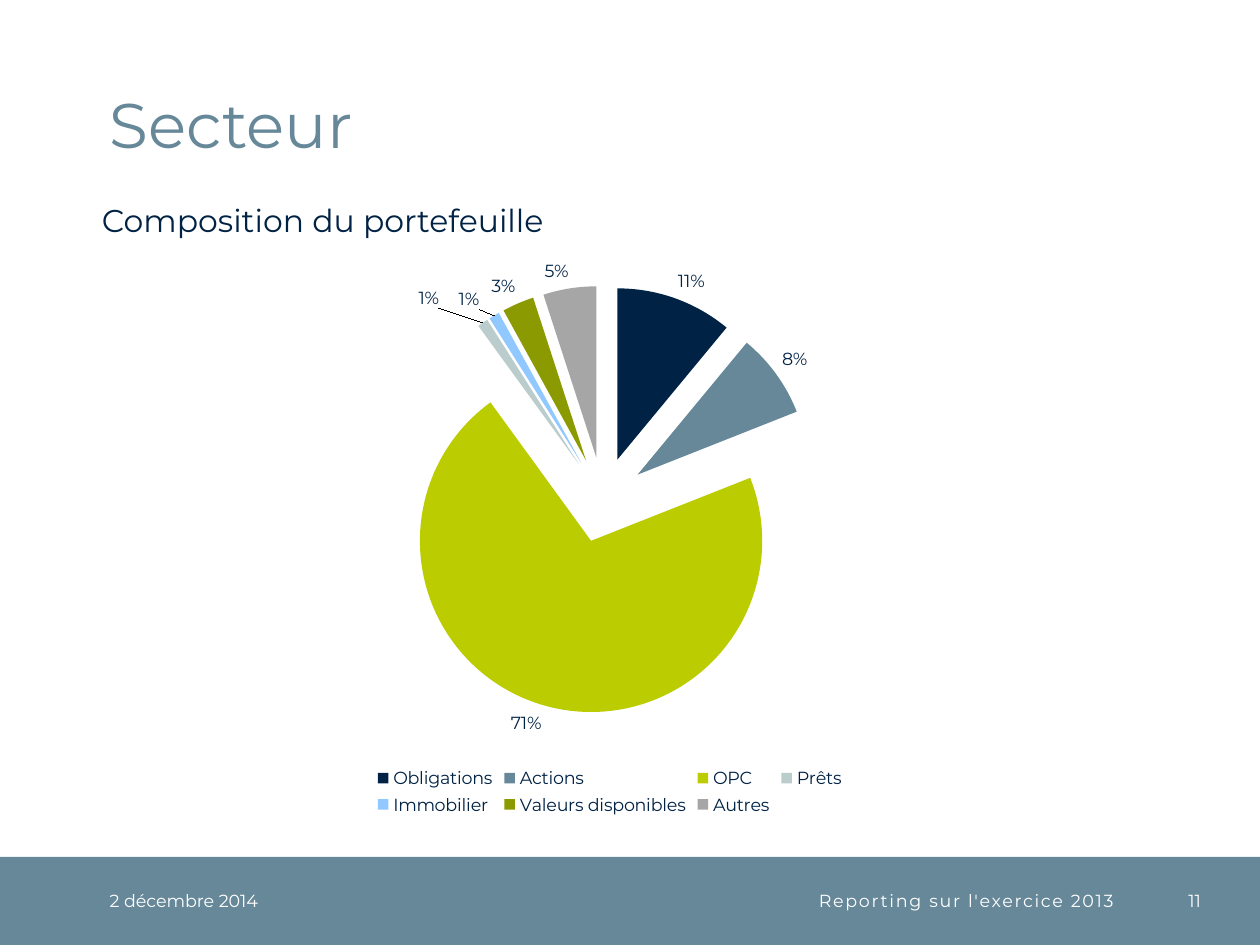
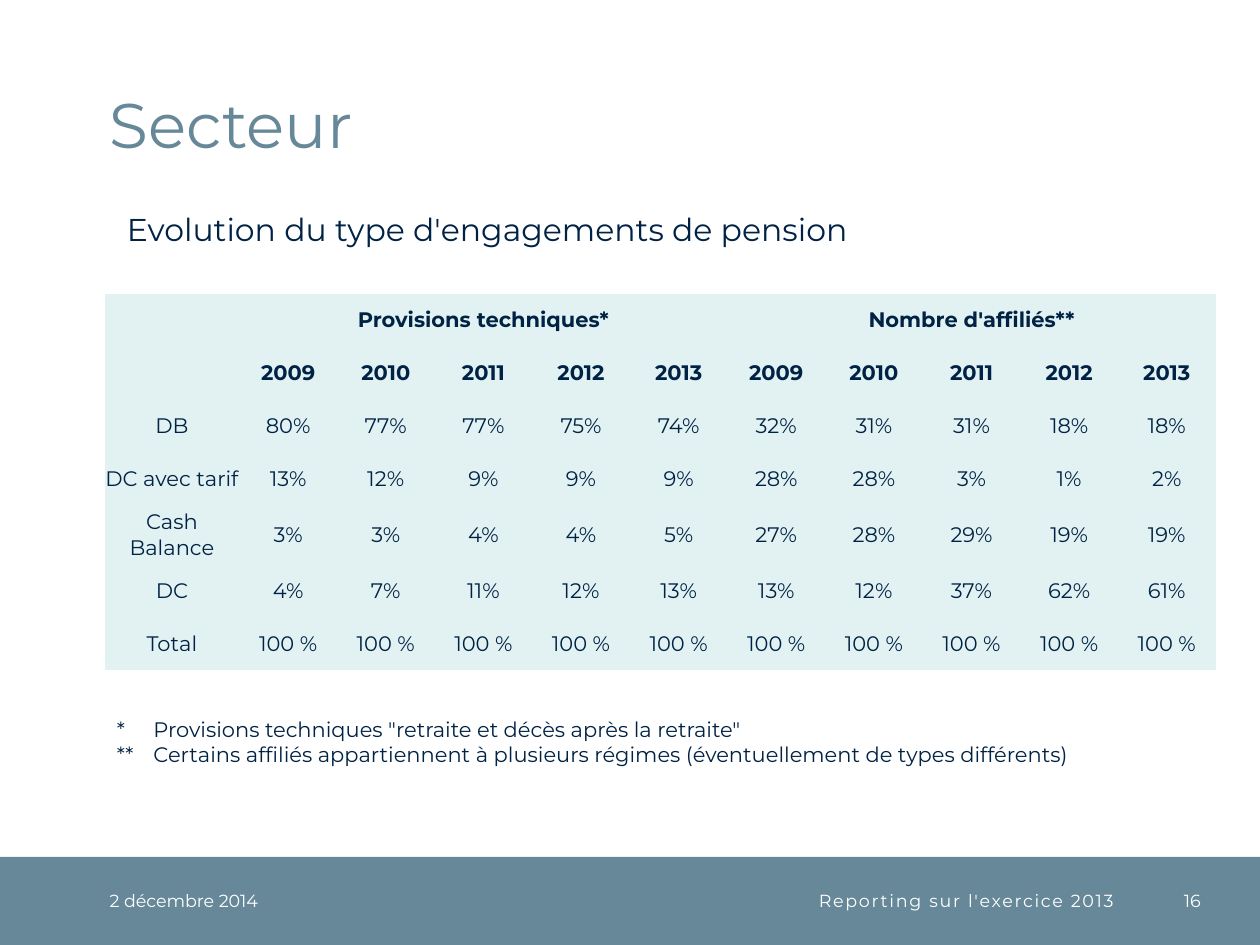
from lxml.etree import SubElement
from pptx import Presentation
from pptx.chart.data import CategoryChartData
from pptx.dml.color import RGBColor
from pptx.enum.chart import XL_CHART_TYPE, XL_LABEL_POSITION, XL_LEGEND_POSITION
from pptx.enum.shapes import MSO_SHAPE
from pptx.enum.text import MSO_ANCHOR, PP_ALIGN
from pptx.oxml.ns import qn
from pptx.util import Inches, Pt

FONT = "Montserrat"
NAVY, SLATE, WHITE, PALE = "002244", "668899", "FFFFFF", "E2F2F3"


def write(frame, text, size, color=NAVY, bold=False, align=PP_ALIGN.LEFT,
          anchor=MSO_ANCHOR.TOP, margins=None, tracking=0, hanging=0, leading=None):
    """Fill a text frame, one paragraph per line; margins are (side, top) in inches."""
    frame.word_wrap = True
    frame.vertical_anchor = anchor
    side, top = margins or (0, 0)
    frame.margin_left = frame.margin_right = Inches(side)
    frame.margin_top = frame.margin_bottom = Inches(top)
    for i, line in enumerate(text.split("\n")):
        paragraph = frame.add_paragraph() if i else frame.paragraphs[0]
        paragraph.alignment = align
        if leading:
            paragraph.line_spacing = Pt(leading)
        if hanging:
            properties = paragraph._p.get_or_add_pPr()
            properties.set("marL", str(Inches(hanging)))
            properties.set("indent", str(-Inches(hanging)))
        run = paragraph.add_run()
        run.text = line
        run.font.name, run.font.size, run.font.bold = FONT, Pt(size), bold
        run.font.color.rgb = RGBColor.from_string(color)
        if tracking:
            run._r.get_or_add_rPr().set("spc", str(tracking * 100))


def place(layout, **fractions):
    """Fill a chart layout element with fractions of the chart's size."""
    manual = SubElement(layout, qn("c:manualLayout"))
    for name, value in fractions.items():
        SubElement(manual, qn(f"c:{name}")).set("val", str(value))


prs = Presentation()
prs.slide_width, prs.slide_height = Inches(10), Inches(7.5)

# Title, subtitle and footer of both slides
pages = [
    ("11", "Composition du portefeuille", 0.71, 1.55, 3.86),
    ("16", "Evolution du type d'engagements de pension", 0.91, 1.62, 8.43),
]
slides = []
for number, subtitle, left, top, width in pages:
    slide = prs.slides.add_slide(prs.slide_layouts[5])
    slides.append(slide)
    title = slide.shapes.title
    title.left, title.top = Inches(0.87), Inches(0.2)
    title.width, title.height = Inches(8.63), Inches(1.08)
    write(title.text_frame, "Secteur", 36, SLATE, anchor=MSO_ANCHOR.BOTTOM, leading=32)

    band = slide.shapes.add_shape(MSO_SHAPE.RECTANGLE, 0, Inches(6.8), Inches(10), Inches(0.7))
    band.shadow.inherit = False
    band.fill.solid()
    band.fill.fore_color.rgb = RGBColor.from_string(SLATE)
    band.line.fill.background()

    for text, x, w, align, tracking in [
        ("2 décembre 2014", 0.87, 1.77, PP_ALIGN.LEFT, 0),
        ("Reporting sur l'exercice 2013", 2.64, 6.2, PP_ALIGN.RIGHT, 1),
        (number, 9.04, 0.49, PP_ALIGN.RIGHT, 0),
    ]:
        footer = slide.shapes.add_textbox(Inches(x), Inches(6.8), Inches(w), Inches(0.7))
        write(footer.text_frame, text, 10, WHITE, align=align,
              anchor=MSO_ANCHOR.MIDDLE, tracking=tracking)

    heading = slide.shapes.add_textbox(Inches(left), Inches(top), Inches(width), Inches(0.4))
    write(heading.text_frame, subtitle, 18, margins=(0.1, 0.05))

portfolio_slide, commitments_slide = slides

# Portfolio pie
portfolio = [
    ("Obligations", 0.11, NAVY),
    ("Actions", 0.08, SLATE),
    ("OPC", 0.71, "BBCC00"),
    ("Prêts", 0.01, "BBCCCC"),
    ("Immobilier", 0.01, "91C8FF"),
    ("Valeurs disponibles", 0.03, "8B9A00"),
    ("Autres", 0.05, "A6A6A6"),
]
chart_data = CategoryChartData(number_format="0%")
chart_data.categories = [name for name, _, _ in portfolio]
chart_data.add_series("Series 1", [share for _, share, _ in portfolio])
chart = portfolio_slide.shapes.add_chart(
    XL_CHART_TYPE.PIE, Inches(0.34), Inches(1.92), Inches(9), Inches(4.59), chart_data).chart
chart.has_title = False
chart.font.name, chart.font.size = FONT, Pt(10)
chart.font.color.rgb = RGBColor.from_string(NAVY)

chart.has_legend = True
chart.legend.position = XL_LEGEND_POSITION.BOTTOM
chart.legend.include_layout = False
legend_layout = chart.legend._element.find(qn("c:layout"))
if legend_layout is None:
    legend_layout = SubElement(chart.legend._element, qn("c:layout"))
    chart.legend._element.find(qn("c:legendPos")).addnext(legend_layout)
place(legend_layout, xMode="edge", yMode="edge", x=0.29, y=0.9, w=0.42, h=0.1)

plot_area = chart._chartSpace.chart.plotArea
plot_layout = plot_area.find(qn("c:layout"))
if plot_layout is None:
    plot_layout = SubElement(plot_area, qn("c:layout"))
    plot_area.insert(0, plot_layout)
place(plot_layout, layoutTarget="inner", xMode="edge", yMode="edge",
      x=0.305, y=0.076, w=0.378, h=0.74)

shares = chart.plots[0].series[0]
explosion = SubElement(shares._element, qn("c:explosion"))
explosion.set("val", "25")
shares._element.find(qn("c:tx")).addnext(explosion)
for i, (_, _, color) in enumerate(portfolio):
    fill = shares.points[i].format.fill
    fill.solid()
    fill.fore_color.rgb = RGBColor.from_string(color)

labels = shares.data_labels
labels.show_value = True
labels.number_format, labels.number_format_is_linked = "0%", False
labels.position = XL_LABEL_POSITION.OUTSIDE_END
for i, dx, dy in [(3, -0.035, -0.015), (4, -0.01, 0)]:
    shares.points[i].data_label.position = XL_LABEL_POSITION.OUTSIDE_END
    label = labels._element.findall(qn("c:dLbl"))[-1]
    label_layout = SubElement(label, qn("c:layout"))
    label.find(qn("c:idx")).addnext(label_layout)
    place(label_layout, x=dx, y=dy)

# Pension commitments table
years = ["2009", "2010", "2011", "2012", "2013"]
rows = [
    ["", "Provisions techniques*", "", "", "", "", "Nombre d'affiliés**", "", "", "", ""],
    ["", *years, *years],
    ["DB", "80%", "77%", "77%", "75%", "74%", "32%", "31%", "31%", "18%", "18%"],
    ["DC avec tarif", "13%", "12%", "9%", "9%", "9%", "28%", "28%", "3%", "1%", "2%"],
    ["Cash Balance", "3%", "3%", "4%", "4%", "5%", "27%", "28%", "29%", "19%", "19%"],
    ["DC", "4%", "7%", "11%", "12%", "13%", "13%", "12%", "37%", "62%", "61%"],
    ["Total"] + ["100 %"] * 10,
]
table = commitments_slide.shapes.add_table(
    len(rows), len(rows[0]), Inches(0.83), Inches(2.33), Inches(8.82), Inches(2.99)).table
# "No Style, No Grid"
table._tbl.tblPr.find(qn("a:tableStyleId")).text = "{2D5ABB26-0587-4C30-8999-92F81FD0307C}"
table.first_row = table.horz_banding = False
for c, column in enumerate(table.columns):
    column.width = Inches(0.775 if c else 1.07)
for r, values in enumerate(rows):
    table.rows[r].height = Inches(0.47 if values[0] == "Cash Balance" else 0.42)
    for c, value in enumerate(values):
        cell = table.cell(r, c)
        cell.fill.solid()
        cell.fill.fore_color.rgb = RGBColor.from_string(PALE)
        write(cell.text_frame, value, 12, bold=r < 2, align=PP_ALIGN.CENTER)
        cell.vertical_anchor = MSO_ANCHOR.MIDDLE
        cell.margin_left = cell.margin_right = cell.margin_top = cell.margin_bottom = 0
table.cell(0, 0).merge(table.cell(1, 0))
table.cell(0, 1).merge(table.cell(0, 5))
table.cell(0, 6).merge(table.cell(0, 10))

footnotes = commitments_slide.shapes.add_textbox(
    Inches(0.83), Inches(5.64), Inches(8.74), Inches(0.5))
write(footnotes.text_frame,
      '*\tProvisions techniques "retraite et décès après la retraite"\n'
      "**\tCertains affiliés appartiennent à plusieurs régimes (éventuellement de types différents)",
      12, margins=(0.1, 0.05), hanging=0.29)

prs.save("out.pptx")
